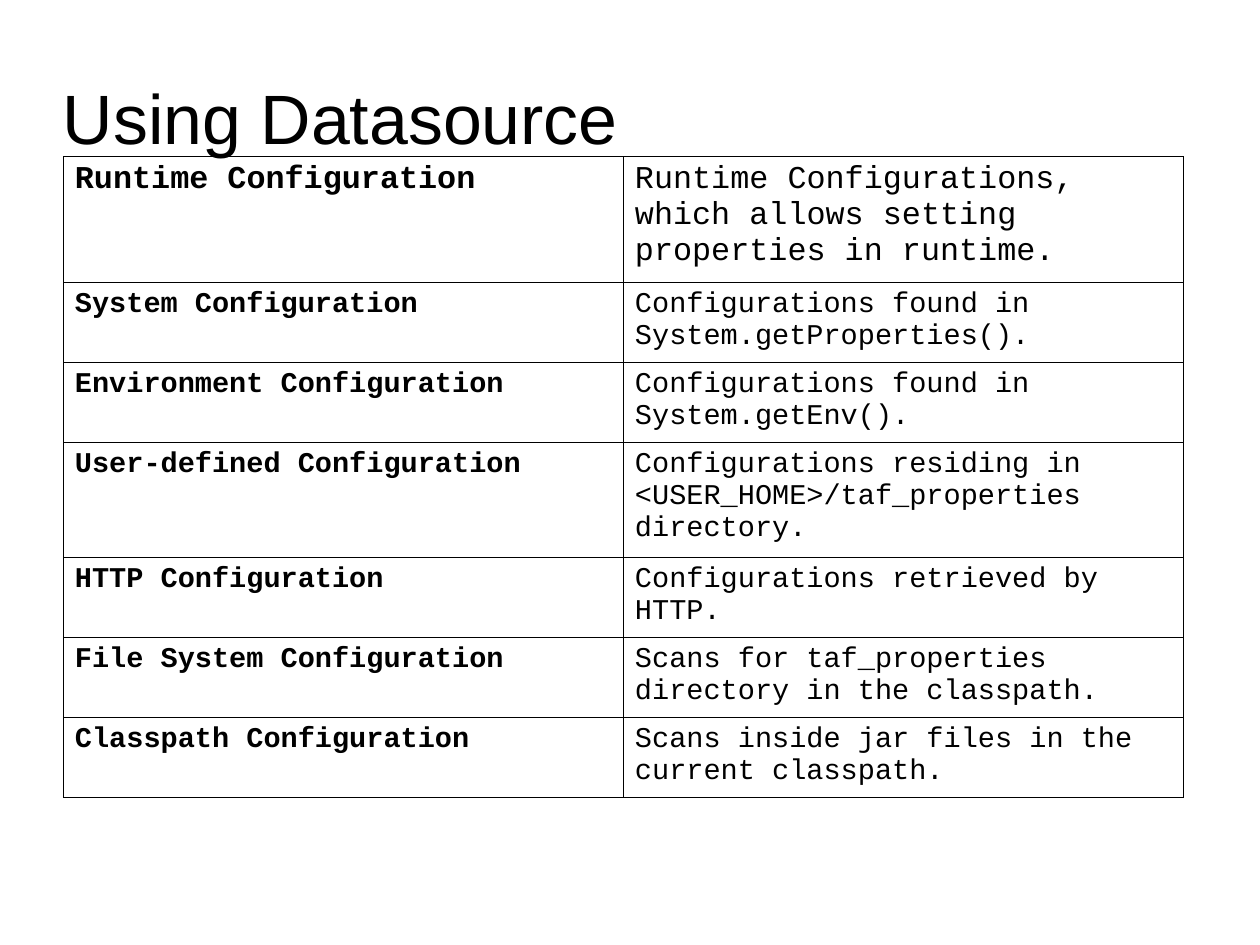
"""Build the slide that lists the kinds of datasource configuration."""
from dataclasses import dataclass

from lxml.etree import SubElement
from pptx import Presentation
from pptx.dml.color import RGBColor
from pptx.enum.text import MSO_ANCHOR, MSO_AUTO_SIZE, PP_ALIGN
from pptx.oxml.ns import qn
from pptx.slide import Slide
from pptx.table import _Cell
from pptx.text.text import TextFrame
from pptx.util import Pt

COLORS = {"ink": "000000"}
MONO = "Courier New"
LINE = 0.57


@dataclass
class Entry:
    name: str
    about: str
    high: float = 50.4
    size: float = 18


ENTRIES = [
    Entry("Runtime Configuration",
          "Runtime Configurations, which allows setting properties in runtime.",
          high=79.4, size=20),
    Entry("System Configuration",
          "Configurations found in System.getProperties()."),
    Entry("Environment Configuration",
          "Configurations found in System.getEnv()."),
    Entry("User-defined Configuration",
          "Configurations residing in <USER_HOME>/taf_properties directory.",
          high=72.4),
    Entry("HTTP Configuration", "Configurations retrieved by HTTP."),
    Entry("File System Configuration",
          "Scans for taf_properties directory in the classpath."),
    Entry("Classpath Configuration",
          "Scans inside jar files in the current classpath."),
]


def write(frame: TextFrame, text: str, *, size: float, face: str,
          bold: bool = False, color: str = "ink") -> None:
    """Put left-aligned text in a frame with the given format."""
    para = frame.paragraphs[0]
    para.alignment = PP_ALIGN.LEFT
    run = para.add_run()
    run.text = text
    run.font.size = Pt(size)
    run.font.name = face
    run.font.bold = bold
    run.font.color.rgb = RGBColor.from_string(COLORS[color])


def border(cell: _Cell) -> None:
    """Draw a thin line on each side of a cell and leave it unfilled."""
    props = cell._tc.get_or_add_tcPr()
    for side in ("a:lnL", "a:lnR", "a:lnT", "a:lnB"):
        line = SubElement(props, qn(side), w=str(int(Pt(LINE))))
        fill = SubElement(line, qn("a:solidFill"))
        SubElement(fill, qn("a:srgbClr"), val=COLORS["ink"])
    cell.fill.background()


def add_title(slide: Slide, text: str) -> None:
    """Place and format the title."""
    title = slide.shapes.title
    title.left, title.top = Pt(39.6), Pt(23.8)
    title.width, title.height = Pt(714.2), Pt(99.4)
    frame = title.text_frame
    frame.margin_left = frame.margin_right = Pt(0)
    frame.margin_top = frame.margin_bottom = Pt(0)
    frame.vertical_anchor = MSO_ANCHOR.MIDDLE
    frame.auto_size = MSO_AUTO_SIZE.NONE
    frame.word_wrap = True
    write(frame, text, size=44, face="Arial")


def add_grid(slide: Slide, entries: list[Entry]) -> None:
    """Add the table with one row for each entry."""
    high = sum(entry.high for entry in entries)
    grid = slide.shapes.add_table(len(entries), 2, Pt(40), Pt(98.6),
                                  Pt(705.6), Pt(high)).table
    grid.first_row = grid.horz_banding = False
    for row, entry in zip(grid.rows, entries):
        row.height = Pt(entry.high)
        texts = (entry.name, entry.about)
        for cell, text, bold in zip(row.cells, texts, (True, False)):
            border(cell)
            write(cell.text_frame, text, size=entry.size, face=MONO, bold=bold)


def main() -> None:
    """Build and save the deck."""
    deck = Presentation()
    deck.slide_width, deck.slide_height = Pt(793.7), Pt(595.28)
    slide = deck.slides.add_slide(deck.slide_layouts[5])
    add_title(slide, "Using Datasource")
    add_grid(slide, ENTRIES)
    deck.save("out.pptx")


if __name__ == "__main__":
    main()
